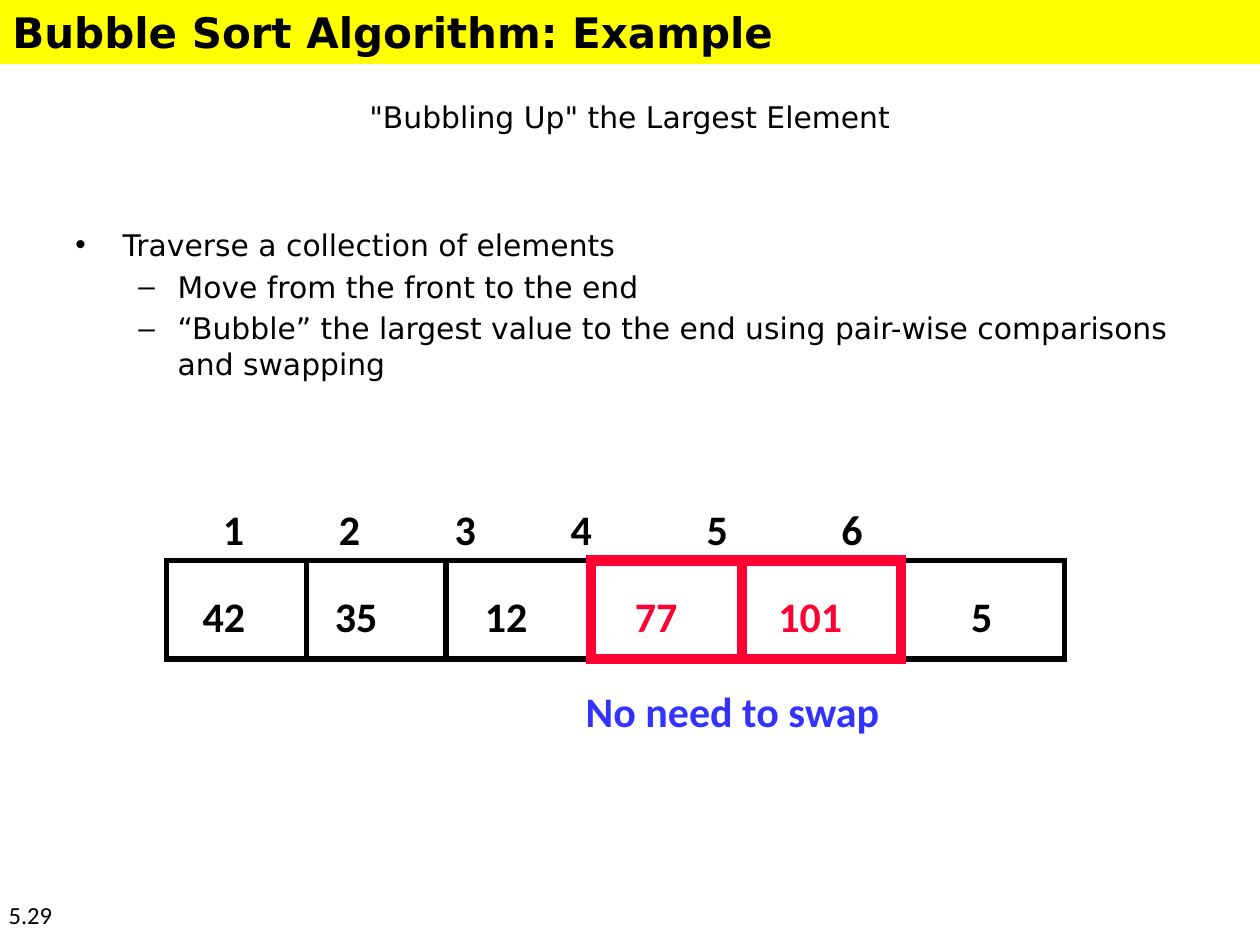
from itertools import pairwise

from lxml.etree import SubElement
from pptx import Presentation
from pptx.dml.color import RGBColor as Color
from pptx.enum.shapes import MSO_CONNECTOR as Connector, MSO_SHAPE as Shape
from pptx.enum.text import MSO_ANCHOR as Anchor, PP_ALIGN as Align
from pptx.oxml.ns import qn
from pptx.util import Inches, Pt

COLUMNS, ROWS = 100, 75
UNIT = Inches(0.1)
COLORS = {"ink": "000000", "band": "FFFF00", "compare": "FF0033", "remark": "3333FF"}
SANS, BODY = "DejaVu Sans", "Calibri"


def grid(*cells):
    return [round(cell * UNIT) for cell in cells]


def style(para, text, size=24, font=BODY, color="ink", bold=False):
    span = para.add_run()
    span.text = text
    span.font.size = Pt(size)
    span.font.name = font
    span.font.bold = bold
    span.font.color.rgb = Color.from_string(COLORS[color])


def write(page, box, text, align=Align.LEFT, anchor=Anchor.TOP, wrap=True, **look):
    frame = page.shapes.add_textbox(*grid(*box)).text_frame
    frame.word_wrap = wrap
    frame.vertical_anchor = anchor
    para = frame.paragraphs[0]
    para.alignment = align
    style(para, text, **look)
    return para


def rectangle(page, box, fill=None, line=None, weight=0):
    shape = page.shapes.add_shape(Shape.RECTANGLE, *grid(*box))
    shape.shadow.inherit = False
    if fill:
        shape.fill.solid()
        shape.fill.fore_color.rgb = Color.from_string(COLORS[fill])
    else:
        shape.fill.background()
    if line:
        shape.line.color.rgb = Color.from_string(COLORS[line])
        shape.line.width = Pt(weight)
        SubElement(shape._element.spPr.find(qn("a:ln")), qn("a:miter"), lim="800000")
    else:
        shape.line.fill.background()


def divider(page, column, top, height):
    line = page.shapes.add_connector(
        Connector.STRAIGHT, *grid(column, top, column, top + height))
    line.line.color.rgb = Color.from_string(COLORS["ink"])
    line.line.width = Pt(3)
    SubElement(line._element.spPr, qn("a:effectLst"))


def heading(page, box, text):
    rectangle(page, box, fill="band")
    write(page, box, text, anchor=Anchor.MIDDLE, font=SANS, bold=True)


def bullets(page, box, items):
    frame = page.shapes.add_textbox(*grid(*box)).text_frame
    frame.word_wrap = True
    levels = [("•", 3.75, 3.75), ("–", 8.12, 3.12)]
    for index, (level, text) in enumerate(items):
        para = frame.add_paragraph() if index else frame.paragraphs[0]
        mark, margin, hang = levels[level]
        para.level = level
        if index:
            para.space_before = Pt(3.4)
        props = para._p.get_or_add_pPr()
        props.set("marL", str(round(margin * UNIT)))
        props.set("indent", str(-round(hang * UNIT)))
        SubElement(props, qn("a:buFont"), typeface="Arial")
        SubElement(props, qn("a:buChar"), char=mark)
        style(para, text, size=17, font=SANS)


def index_row(page, box, stops):
    numbers = "\t".join(str(number + 1) for number in range(len(stops) + 1))
    para = write(page, box, numbers, bold=True)
    tabs = SubElement(para._p.get_or_add_pPr(), qn("a:tabLst"))
    for stop in stops:
        SubElement(tabs, qn("a:tab"), pos=str(round(stop * UNIT)), algn="l")


def array(page, box, edges, values, compared):
    left, top, width, height = box
    rectangle(page, box, line="ink", weight=3)
    for edge in edges:
        divider(page, left + edge, top, height)
    cells = list(pairwise([0, *edges, width]))
    for index, (value, offset) in enumerate(values):
        color = "compare" if index in compared else "ink"
        label_width = 2.05 + 1.85 * len(value)
        write(page, (left + offset, top + 1.9, label_width, 5), value,
              wrap=False, color=color, bold=True)
    for start, end in (cells[index] for index in compared):
        rectangle(page, (left + start, top, end - start, height),
                  line="compare", weight=6)


def main():
    deck = Presentation()
    deck.slide_width, deck.slide_height = grid(COLUMNS, ROWS)
    page = deck.slides.add_slide(deck.slide_layouts[6])
    write(page, (5, 3, 90, 12.5), '"Bubbling Up" the Largest Element',
          align=Align.CENTER, anchor=Anchor.MIDDLE, size=17, font=SANS)
    bullets(page, (5, 17.5, 90, 19.5), [
        (0, "Traverse a collection of elements"),
        (1, "Move from the front to the end"),
        (1, "“Bubble” the largest value to the end using pair-wise "
            "comparisons and swapping"),
    ])
    array(page, (13.2, 44.5, 71.3, 7.8),
          edges=[11.1, 22.2, 33.7, 45.7, 58.3],
          values=[("42", 1.9), ("35", 12.4), ("12", 24.3),
                  ("77", 36.2), ("101", 47.6), ("5", 62.9)],
          compared=[3, 4])
    index_row(page, (16.7, 39.5, 62.8, 5), stops=[9.2, 18.4, 27.6, 38.4, 49.1])
    write(page, (45.5, 53.9, 28.5, 5), "No need to swap",
          wrap=False, color="remark", bold=True)
    heading(page, (0, 0, COLUMNS, 5.1), "Bubble Sort Algorithm: Example")
    write(page, (-0.3, 70.9, 8.2, 4.1), "5.29", size=14)
    deck.save("out.pptx")


if __name__ == "__main__":
    main()
